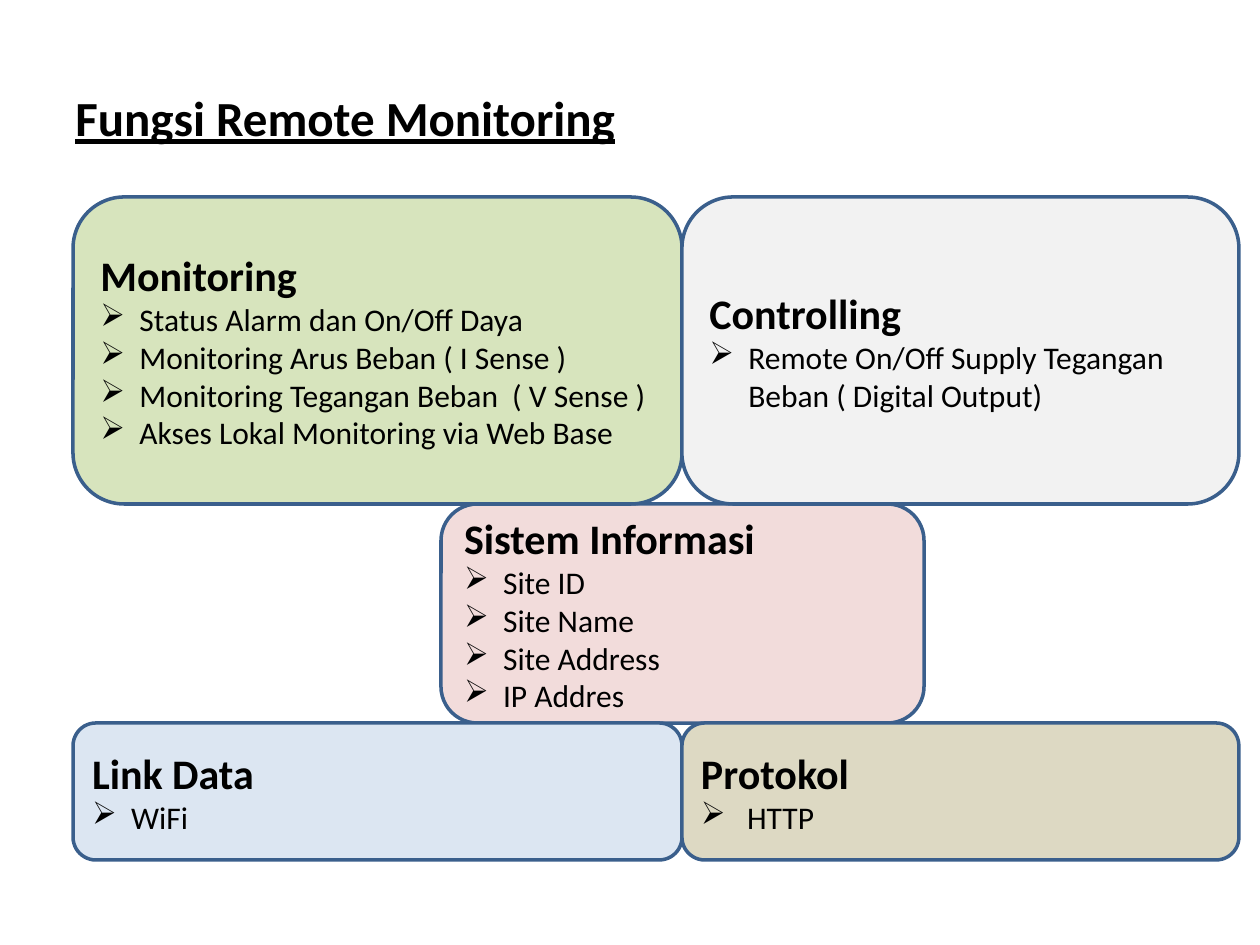
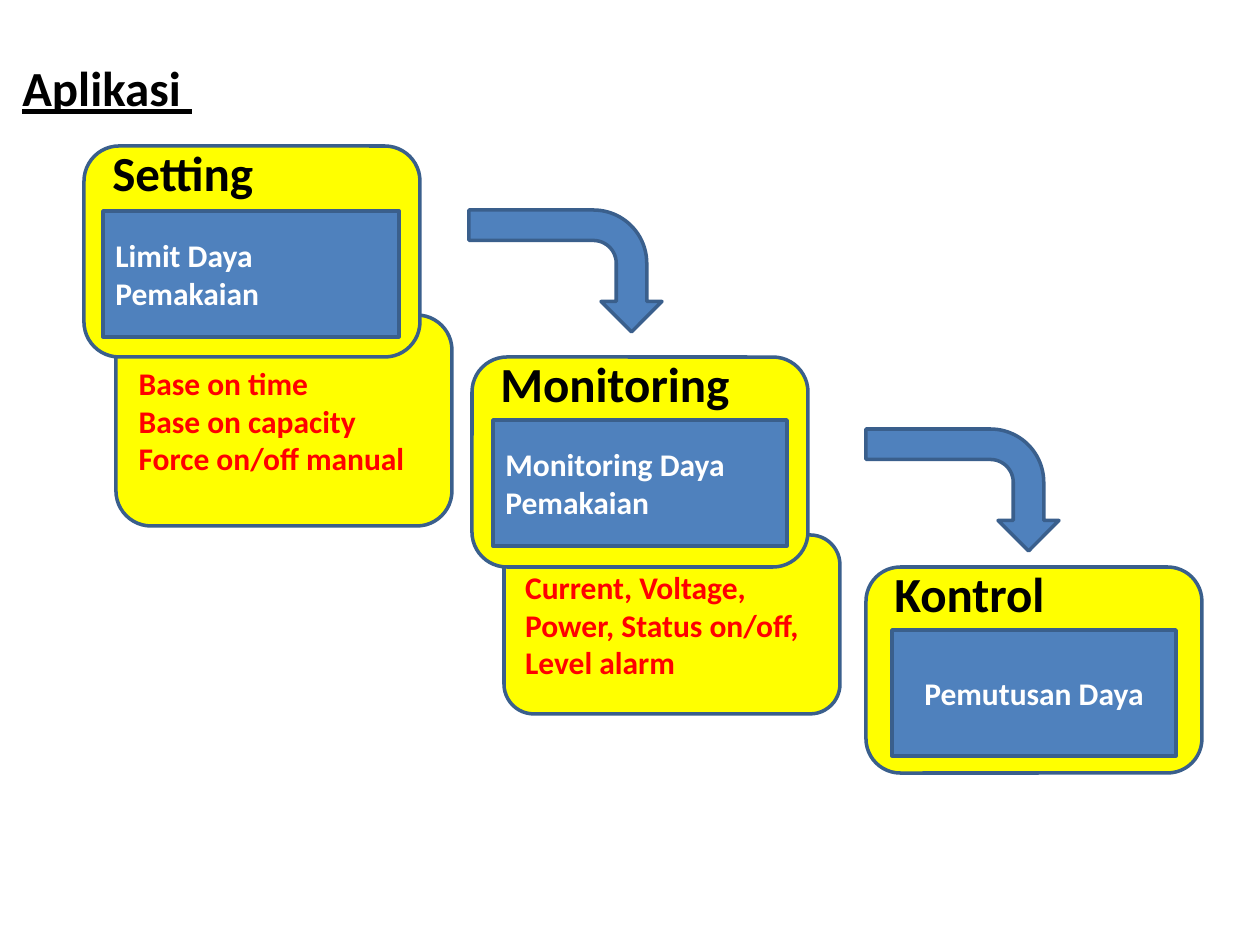
from lxml.etree import SubElement
from pptx import Presentation
from pptx.dml.color import RGBColor
from pptx.enum.shapes import MSO_SHAPE as Preset
from pptx.enum.text import MSO_ANCHOR as Anchor, MSO_AUTO_SIZE as AutoSize, PP_ALIGN as Align
from pptx.oxml.ns import qn
from pptx.util import Emu, Inches, Pt

SCALE = 914400 / 126
COLORS = {
    "black": "000000", "white": "FFFFFF", "red": "FF0000",
    "outline": "3A5F8C", "blue": "4F81BD", "yellow": "FFFF00",
    "green": "D7E4BD", "grey": "F2F2F2", "pink": "F2DCDB",
    "pale_blue": "DCE6F2", "tan": "DDD9C3",
}
TITLE = {"size": Pt(28), "bold": True, "underline": True}
HEADING = {"size": Pt(28), "bold": True}
BOX_HEADING = {"size": Pt(24), "bold": True}
ITEM = {"size": Pt(18), "bold": False}
STRONG = {"size": Pt(18), "bold": True}
BULLET_INDENT = Inches(0.31)


def color(name):
    """Return the named palette colour."""
    return RGBColor.from_string(COLORS[name])


def emu(*pixels):
    """Turn pixel lengths into EMU."""
    return [Emu(round(pixel * SCALE)) for pixel in pixels]


def add_run(paragraph, text, style, ink="black"):
    """Add one run with the given font values."""
    run = paragraph.add_run()
    run.text = text
    run.font.name = "Calibri"
    run.font.color.rgb = color(ink)
    for name, value in style.items():
        setattr(run.font, name, value)


def add_bullet(paragraph):
    """Give a paragraph an arrowhead bullet with a hanging indent."""
    properties = paragraph._p.get_or_add_pPr()
    properties.set("marL", str(BULLET_INDENT))
    properties.set("indent", str(-BULLET_INDENT))
    SubElement(properties, qn("a:buChar")).set("char", "➢")


def write_lines(shape, lines, style, ink="black", align=Align.LEFT, bulleted=False):
    """Write lines as paragraphs after any text already in the shape."""
    frame = shape.text_frame
    frame.word_wrap = True
    for line in lines:
        paragraph = frame.add_paragraph() if frame.text else frame.paragraphs[0]
        paragraph.alignment = align
        add_run(paragraph, line, style, ink)
        if bulleted:
            add_bullet(paragraph)


def add_panel(slide, box, fill, preset=Preset.ROUNDED_RECTANGLE):
    """Draw a filled, outlined preset shape in the box."""
    shape = slide.shapes.add_shape(preset, *emu(*box))
    shape.shadow.inherit = False
    shape.fill.solid()
    shape.fill.fore_color.rgb = color(fill)
    shape.line.color.rgb = color("outline")
    shape.line.width = Pt(2)
    shape.text_frame.vertical_anchor = Anchor.MIDDLE
    return shape


def add_title(slide, left, top, text):
    """Place the underlined slide title."""
    title = slide.shapes.add_textbox(*emu(left, top, 1134, 158))
    title.text_frame.vertical_anchor = Anchor.MIDDLE
    write_lines(title, [text], TITLE)


def add_function_box(slide, box, fill, heading, items):
    """Draw a rounded box with a heading and bulleted items."""
    panel = add_panel(slide, box, fill)
    write_lines(panel, [heading], BOX_HEADING)
    write_lines(panel, items, ITEM, bulleted=True)


def add_stage(slide, box, heading, task, task_box, task_align, details, details_box):
    """Draw a stage card with its task, over an optional details card behind it."""
    left, top = box[:2]

    def inside(offset_box):
        x, y, width, height = offset_box
        return left + x, top + y, width, height

    if details:
        card = add_panel(slide, inside(details_box), "yellow")
        write_lines(card, details, STRONG, "red")
    add_panel(slide, box, "yellow")
    task_panel = add_panel(slide, inside(task_box), "blue", Preset.RECTANGLE)
    write_lines(task_panel, [task], STRONG, "white", task_align)
    label = slide.shapes.add_textbox(*emu(*inside((16, -10, 262, 72))))
    write_lines(label, [heading], HEADING)
    label.text_frame.auto_size = AutoSize.SHAPE_TO_FIT_TEXT


def add_turn_arrow(slide, box):
    """Draw an arrow that runs right, then down, filling the box."""
    left, top, width, height = box
    shift = (width - height) / 2
    arrow = add_panel(slide, (left + shift, top - shift, height, width), "blue", Preset.BENT_ARROW)
    arrow.rotation = 90


def build_functions_slide(slide):
    """Lay out the remote monitoring functions in two columns around a centre box."""
    add_title(slide, 63, 38, "Fungsi Remote Monitoring")
    left, right = (73, 609), (682, 557)
    upper, middle, lower = (197, 307), (504, 219), (723, 137)
    boxes = [
        ((441, 483), middle, "pink", "Sistem Informasi",
         ["Site ID", "Site Name", "Site Address", "IP Addres"]),
        (left, upper, "green", "Monitoring",
         ["Status Alarm dan On/Off Daya", "Monitoring Arus Beban ( I Sense )",
          "Monitoring Tegangan Beban  ( V Sense )", "Akses Lokal Monitoring via Web Base"]),
        (right, upper, "grey", "Controlling",
         ["Remote On/Off Supply Tegangan Beban ( Digital Output)"]),
        (left, lower, "pale_blue", "Link Data", ["WiFi"]),
        (right, lower, "tan", "Protokol", [" HTTP"]),
    ]
    for (x, width), (y, height), fill, heading, items in boxes:
        add_function_box(slide, (x, y, width, height), fill, heading, items)


def build_application_slide(slide):
    """Lay out the three stages as a descending staircase joined by arrows."""
    add_title(slide, 10, 8, "Aplikasi ")
    stages = [
        ((84, 146, 336, 211), "Setting", "Limit Daya Pemakaian", (19, 65, 296, 126), Align.LEFT,
         ["Base on time", "Base on capacity", "Force on/off manual"], (32, 169, 336, 211)),
        ((472, 357, 336, 210), "Monitoring", "Monitoring Daya Pemakaian", (21, 63, 294, 126), Align.LEFT,
         ["Current, Voltage,", "Power, Status on/off,", "Level alarm"], (32, 178, 336, 179)),
        ((866, 567, 336, 206), "Kontrol", "Pemutusan Daya", (26, 63, 284, 126), Align.CENTER, [], None),
    ]
    for stage in stages:
        add_stage(slide, *stage)
    for left, top in ((469, 210), (866, 429)):
        add_turn_arrow(slide, (left, top, 193, 122))


def main():
    """Build and save the presentation."""
    presentation = Presentation()
    presentation.slide_width, presentation.slide_height = emu(1260, 945)
    blank = presentation.slide_layouts[6]
    for build in (build_functions_slide, build_application_slide):
        build(presentation.slides.add_slide(blank))
    presentation.save("out.pptx")


main()
